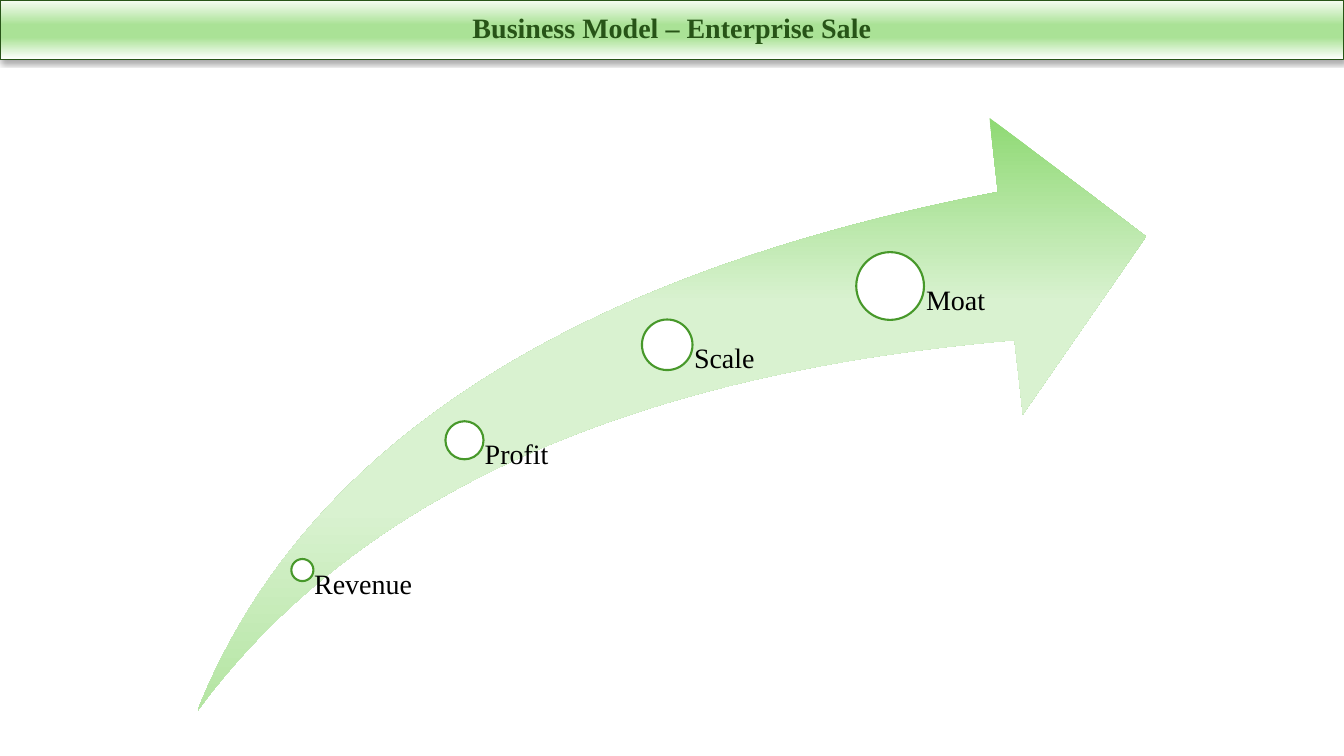
from lxml.etree import SubElement
from pptx import Presentation
from pptx.dml.color import RGBColor
from pptx.enum.shapes import MSO_SHAPE
from pptx.enum.text import MSO_ANCHOR as Anchor, MSO_AUTO_SIZE as AutoSize, PP_ALIGN as Align
from pptx.oxml.ns import qn
from pptx.util import Pt

COLORS = {
    "title": "275417", "ring": "47982A", "text": "000000", "white": "FFFFFF",
    "bar_edge": "F6FCF3", "bar_middle": "AAE296",
    "arrow_top": "8ED973", "arrow_middle": "D9F2D0", "arrow_tail": "B4E5A2",
}
ARROW = (141.1, 84.2, 677.5, 423.4)
ARROW_BOTTOM = ARROW[1] + ARROW[3]
# Label, centre x, centre y, circle diameter, label width
MILESTONES = [
    ("Revenue", 216, 407.2, 15.8, 116),
    ("Profit", 331.8, 314.5, 27.2, 142.6),
    ("Scale", 476.6, 246.3, 36.1, 142.6),
    ("Moat", 635.8, 204.3, 48.4, 142.6),
]


def rgb(name):
    return RGBColor.from_string(COLORS[name])


def write_text(frame, text, size=20, color="text", bold=False, align=Align.LEFT,
               anchor=Anchor.TOP, margins=(7.2, 3.6, 7.2, 3.6)):
    frame.word_wrap = True
    frame.auto_size = AutoSize.NONE
    frame.vertical_anchor = anchor
    (frame.margin_left, frame.margin_top,
     frame.margin_right, frame.margin_bottom) = map(Pt, margins)
    paragraph = frame.paragraphs[0]
    paragraph.alignment = align
    paragraph.line_spacing = 0.9
    run = paragraph.add_run()
    run.text = text
    run.font.name = "Times New Roman"
    run.font.size = Pt(size)
    run.font.bold = bold
    run.font.color.rgb = rgb(color)


def fill_gradient(shape, stops):
    """Fill from top to bottom with (percent, colour name) stops."""
    shape.fill.gradient()
    shape.fill.gradient_angle = 270
    stop_list = shape._element.spPr.find(qn("a:gradFill")).find(qn("a:gsLst"))
    for old_stop in list(stop_list):
        stop_list.remove(old_stop)
    for percent, color in stops:
        stop = SubElement(stop_list, qn("a:gs"), pos=str(percent * 1000))
        SubElement(stop, qn("a:srgbClr"), val=COLORS[color])


class GrowthSlide:
    def __init__(self, presentation):
        self.slide = presentation.slides.add_slide(presentation.slide_layouts[5])
        self.group = None

    def add_title_bar(self, text, width, height):
        title = self.slide.shapes.title
        title.left, title.top, title.width, title.height = 0, 0, Pt(width), Pt(height)
        properties = title._element.spPr
        geometry = SubElement(properties, qn("a:prstGeom"), prst="roundRect")
        SubElement(geometry, qn("a:avLst"))
        fill_gradient(title, [(0, "bar_edge"), (42, "bar_middle"),
                              (63, "bar_middle"), (100, "white")])
        title.line.color.rgb = rgb("title")
        title.line.width = Pt(0.75)
        effects = SubElement(properties, qn("a:effectLst"))
        shadow = SubElement(effects, qn("a:outerShdw"), blurRad=str(Pt(3.5)),
                            dist=str(Pt(2.2)), dir="5400000", algn="ctr", rotWithShape="0")
        shadow_color = SubElement(shadow, qn("a:srgbClr"), val=COLORS["text"])
        SubElement(shadow_color, qn("a:alpha"), val="32000")
        write_text(title.text_frame, text, color="title", bold=True,
                   align=Align.CENTER, anchor=Anchor.MIDDLE)

    def add_arrow(self, bounds):
        self.group = self.slide.shapes.add_group_shape()
        arrow = self.group.shapes.add_shape(MSO_SHAPE.SWOOSH_ARROW, *map(Pt, bounds))
        arrow.adjustments[0] = arrow.adjustments[1] = 0.25
        arrow.shadow.inherit = False
        arrow.line.fill.background()
        fill_gradient(arrow, [(0, "arrow_top"), (31, "arrow_middle"),
                              (66, "arrow_middle"), (100, "arrow_tail")])

    def add_milestone(self, text, x, y, diameter, width):
        """Put a circle around (x, y) and a label box that starts at its centre."""
        circle = self.group.shapes.add_shape(
            MSO_SHAPE.OVAL, Pt(x - diameter / 2), Pt(y - diameter / 2),
            Pt(diameter), Pt(diameter))
        circle.shadow.inherit = False
        circle.fill.solid()
        circle.fill.fore_color.rgb = rgb("white")
        circle.line.color.rgb = rgb("ring")
        circle.line.width = Pt(1.5)
        label = self.group.shapes.add_textbox(Pt(x), Pt(y), Pt(width), Pt(ARROW_BOTTOM - y))
        write_text(label.text_frame, text, margins=(0.53 * diameter, 0, 0, 0))


def main():
    presentation = Presentation()
    presentation.slide_width, presentation.slide_height = Pt(960), Pt(540)
    growth = GrowthSlide(presentation)
    growth.add_title_bar("Business Model – Enterprise Sale", 960, 42.5)
    growth.add_arrow(ARROW)
    for milestone in MILESTONES:
        growth.add_milestone(*milestone)
    presentation.save("out.pptx")


if __name__ == "__main__":
    main()
